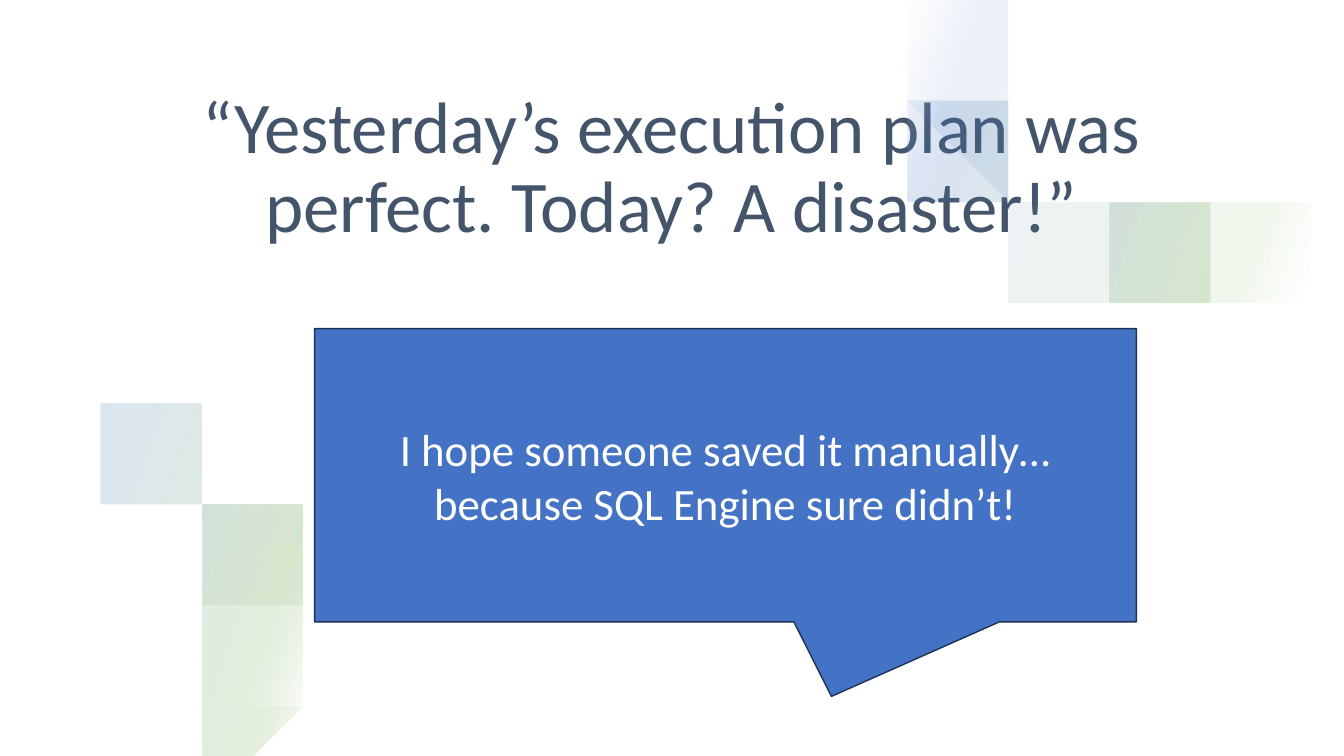
"""Build a quote slide with a speech callout and pale ribbons."""
from math import asin, cos, pi, sin

from lxml import etree
from pptx import Presentation
from pptx.dml.color import RGBColor
from pptx.enum.shapes import MSO_SHAPE as Shape
from pptx.enum.text import MSO_ANCHOR as Anchor, PP_ALIGN as Align
from pptx.oxml import parse_xml
from pptx.oxml.ns import nsdecls, qn
from pptx.util import Inches, Pt

WIDE, HIGH = 13.33, 7.5
FONT = "Calibri"
HUES = {"white": "FFFFFF", "green": "70AD47", "blue": "4472C4",
        "edge": "1E3256", "slate": "44546A"}
STOPS = [(2, "white"), (16, "green"), (85, "blue"), (100, "white")]
ALPHA, ANGLE, STEPS = 10, 200, 8

TITLE = "“Yesterday’s execution plan was perfect. Today? A disaster!”"
REPLY = "I hope someone saved it manually… because SQL Engine sure didn’t!"
TITLE_BOX = (0.82, 0.33, 11.68, 2.18)
REPLY_BOX = (3.12, 3.26, 8.15, 2.91)
TAIL = (0.129, 0.754)

ROWS = (0, 0.3)
COLS = (9.5, 10.1, 10.8, 11.6, 12.5, WIDE)
TOP_RIM = ((8.65, 8.7), (1.55, 2.13, 2.48, 2.6, 2.41, 1.9))
TOP = [
    (((8.6, 8.64), (1.82, 2.44, 2.78, 2.89, 2.73, 2.23)),
     ((8.64, 8.67), (1.56, 2.12, 2.46, 2.56, 2.36, 1.83))),
    (((8.65, 8.68), (1.7, 2.25, 2.53, 2.65, 2.49, 2.01)),
     ((8.83, 8.88), (1.16, 1.77, 2.2, 2.32, 2.05, 1.46))),
    (TOP_RIM, ((9.2, 9.27), (0.67, 1.43, 1.93, 2.09, 1.85, 1.25))),
    (TOP_RIM, ((9.31, 9.38), (0.5, 1.27, 1.81, 1.98, 1.71, 1.12))),
]
HUB = 6.86
LOW_RIM = (2.77, 3.52)
LOW = [(LOW_RIM, (2.16, 4.16)), (LOW_RIM, (2.27, 4.05)),
       ((2.79, 3.52), (2.53, 3.69)), ((3, 3.5), (2.77, 3.53))]


def hue(name):
    return RGBColor.from_string(HUES[name])


def wave(edge):
    starts, drops = edge
    knots = [*zip(starts, ROWS), *zip(COLS, drops)]
    ends = [knots[0], *knots, knots[-1]]
    dots = []
    for a, b, c, d in zip(ends, ends[1:], ends[2:], ends[3:]):
        for step in range(STEPS):
            t = step / STEPS
            dots.append(tuple(
                q + t * (r - p) / 2
                + t ** 2 * (2 * p - 5 * q + 4 * r - s) / 2
                + t ** 3 * (3 * q - p - 3 * r + s) / 2
                for p, q, r, s in zip(a, b, c, d)))
    return dots + [knots[-1]]


def arc(edge):
    reach, top = edge
    rise, count = HUB - top, STEPS * 5
    sweep = pi / 2 + asin((HIGH - HUB) / rise)
    turns = [sweep * i / count for i in range(count + 1)]
    return [(reach * sin(t), HUB - rise * cos(t)) for t in turns]


def blend(shape):
    fill = parse_xml(f'<a:gradFill {nsdecls("a")} rotWithShape="1"/>')
    stops = etree.SubElement(fill, qn("a:gsLst"))
    for pos, name in STOPS:
        stop = etree.SubElement(stops, qn("a:gs"), pos=str(pos * 1000))
        tone = etree.SubElement(stop, qn("a:srgbClr"), val=HUES[name])
        etree.SubElement(tone, qn("a:alpha"), val=str(ALPHA * 1000))
    etree.SubElement(fill, qn("a:lin"), ang=str(ANGLE * 60000), scaled="0")
    shape.element.spPr.find(qn("a:custGeom")).addnext(fill)


def ribbon(slide, outer, inner):
    dots = outer + inner[::-1]
    pen = slide.shapes.build_freeform(*dots[0], scale=Inches(1))
    pen.add_line_segments(dots[1:], close=True)
    shape = pen.convert_to_shape()
    shape.shadow.inherit = False
    shape.line.fill.background()
    blend(shape)


def block(slide, kind, box, name):
    shape = slide.shapes.add_shape(kind, *map(Inches, box))
    shape.shadow.inherit = False
    shape.fill.solid()
    shape.fill.fore_color.rgb = hue(name)
    shape.line.fill.background()
    return shape


def write(shape, text, size, name, anchor):
    frame = shape.text_frame
    frame.word_wrap = True
    frame.vertical_anchor = anchor
    para = frame.paragraphs[0]
    para.alignment = Align.CENTER
    run = para.add_run()
    run.text = text
    run.font.name, run.font.size = FONT, Pt(size)
    run.font.color.rgb = hue(name)
    return para


def main():
    deck = Presentation()
    deck.slide_width, deck.slide_height = Inches(WIDE), Inches(HIGH)
    slide = deck.slides.add_slide(deck.slide_layouts[6])
    block(slide, Shape.RECTANGLE, (0, 0, WIDE, HIGH), "white")
    title = slide.shapes.add_textbox(*map(Inches, TITLE_BOX))
    para = write(title, TITLE, 52, "slate", Anchor.BOTTOM)
    para.line_spacing, para.space_after = 0.9, Pt(6)
    for draw, pairs in ((wave, TOP), (arc, LOW)):
        for outer, inner in pairs:
            ribbon(slide, draw(outer), draw(inner))
    reply = block(slide, Shape.RECTANGULAR_CALLOUT, REPLY_BOX, "blue")
    for i, share in enumerate(TAIL):
        reply.adjustments[i] = share
    reply.line.color.rgb, reply.line.width = hue("edge"), Pt(1)
    write(reply, REPLY, 32, "white", Anchor.MIDDLE)
    deck.save("out.pptx")


if __name__ == "__main__":
    main()
